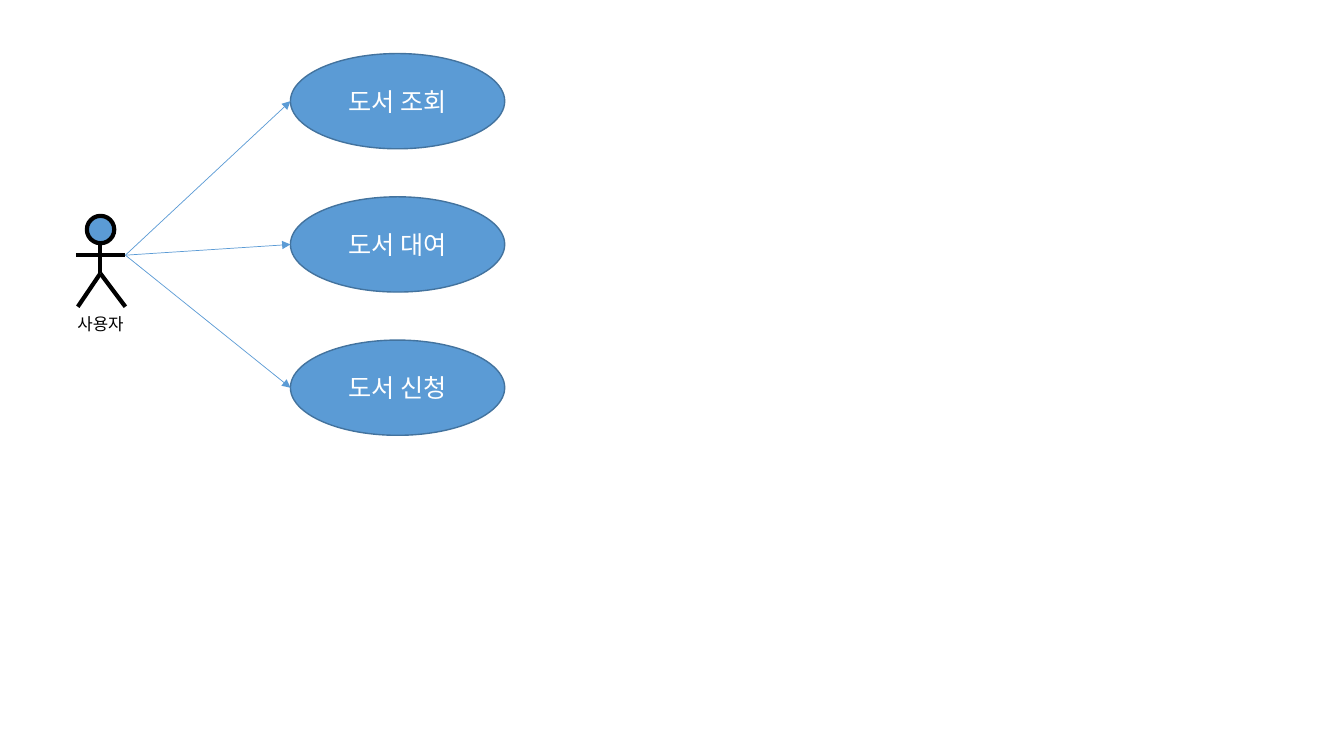
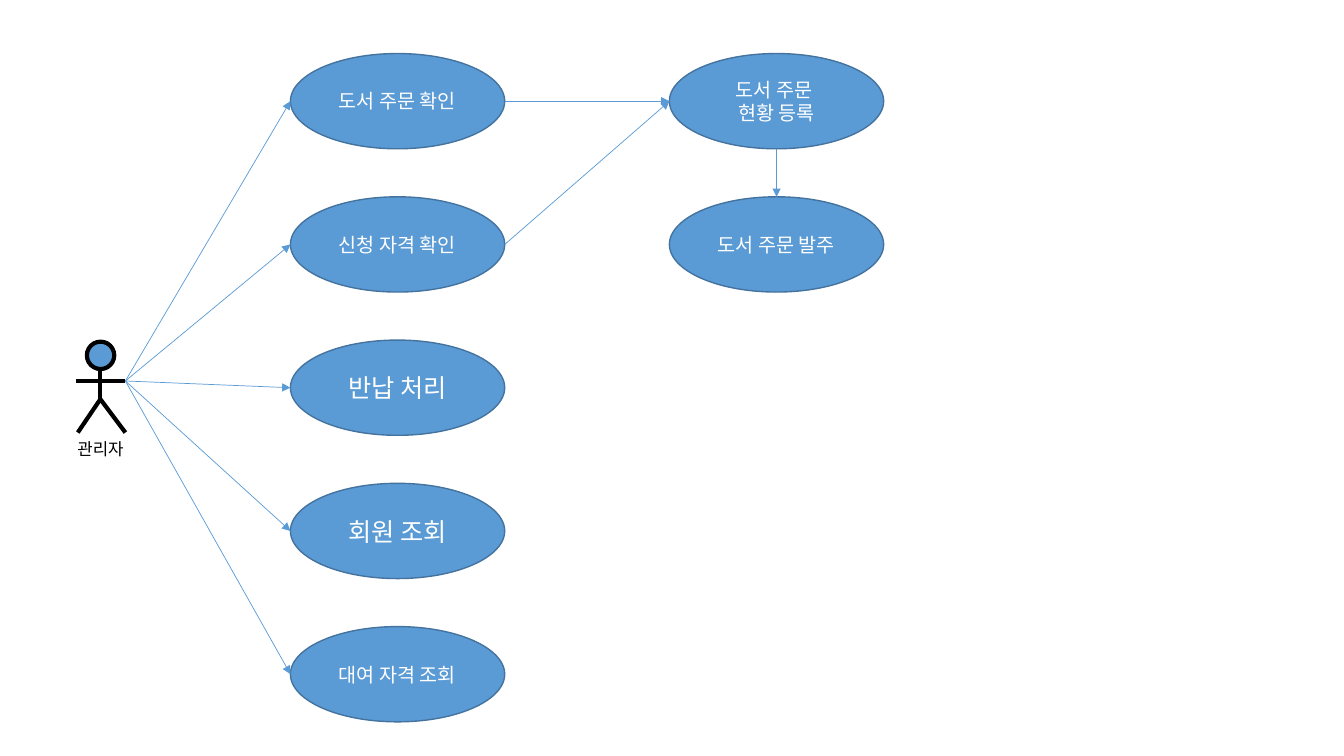
from pptx import Presentation
from pptx.dml.color import RGBColor
from pptx.enum.shapes import MSO_CONNECTOR as Connector, MSO_SHAPE as Preset
from pptx.enum.text import MSO_ANCHOR as Anchor, MSO_AUTO_SIZE as AutoSize, PP_ALIGN as Align
from pptx.oxml.ns import qn
from pptx.util import Cm, Pt
from lxml import etree

# Use cases: (column, row): (text lines, size); links join two grid cells.
DIAGRAMS = [
    {
        "actor": "사용자", "actor_top": 5.44,
        "cases": {
            (0, 0): (["도서 조회"], 18),
            (0, 1): (["도서 대여"], 18),
            (0, 2): (["도서 신청"], 18),
        },
        "links": [],
    },
    {
        "actor": "관리자", "actor_top": 8.61,
        "cases": {
            (0, 0): (["도서 주문 확인"], 14),
            (0, 1): (["신청 자격 확인"], 14),
            (0, 2): (["반납 처리"], 18),
            (0, 3): (["회원 조회"], 18),
            (0, 4): (["대여 자격 조회"], 14),
            (1, 0): (["도서 주문 ", "현황 등록"], 14),
            (1, 1): (["도서 주문 발주"], 14),
        },
        "links": [((0, 0), (1, 0)), ((0, 1), (1, 0)), ((1, 0), (1, 1))],
    },
]

COLORS = {"fill": "5B9BD5", "outline": "43739E", "figure": "000000",
          "case_text": "FFFFFF", "label": "000000"}
FONT = "Noto Sans CJK KR"

# Lengths in centimetres
SLIDE_WIDTH, SLIDE_HEIGHT = 33.87, 19.05
CASE_LEFT, CASE_TOP, CASE_WIDTH, CASE_HEIGHT = 7.32, 1.35, 5.4, 2.4
COLUMN_STEP, ROW_STEP = 9.55, 3.61
ACTOR_LEFT = 1.91
HEAD_LEFT, HEAD_SIZE = 0.28, 0.69
HIP = (0.62, 1.45)
HAND = (1.25, 0.99)
LIMBS = [((0, 0.99), HAND), ((0.62, HEAD_SIZE), HIP), (HIP, (1.25, 2.29)), (HIP, (0.05, 2.29))]
LABEL_LEFT, LABEL_DROP, LABEL_WIDTH, LABEL_HEIGHT = 1.7, 2.33, 3.33, 0.76


def color(name):
    """Return the named colour of the palette."""
    return RGBColor.from_string(COLORS[name])


def style_line(line, name, width):
    """Give a line its colour and width."""
    line.color.rgb = color(name)
    line.width = Pt(width)


def write(frame, lines, size, color_name, align):
    """Fill a text frame with one paragraph per line."""
    for index, text in enumerate(lines):
        paragraph = frame.add_paragraph() if index else frame.paragraphs[0]
        paragraph.alignment = align
        run = paragraph.add_run()
        run.text = text
        for name, value in {"name": FONT, "size": Pt(size)}.items():
            setattr(run.font, name, value)
        run.font.color.rgb = color(color_name)
        etree.SubElement(run.font._element, qn("a:ea")).set("typeface", FONT)


def add_ellipse(shapes, box, line_name, width):
    """Add a filled ellipse in a box of left, top, width and height."""
    shape = shapes.add_shape(Preset.OVAL, *map(Cm, box))
    shape.shadow.inherit = False
    shape.fill.solid()
    shape.fill.fore_color.rgb = color("fill")
    style_line(shape.line, line_name, width)
    return shape


def add_line(shapes, start, end, name, width, arrow=False):
    """Add a straight line, with an arrowhead at its end if asked."""
    connector = shapes.add_connector(Connector.STRAIGHT, *map(Cm, (*start, *end)))
    style_line(connector.line, name, width)
    properties = connector._element.spPr
    if arrow:
        outline = properties.find(qn("a:ln"))
        etree.SubElement(outline, qn("a:tailEnd")).set("type", "triangle")
    etree.SubElement(properties, qn("a:effectLst"))


def case_box(cell):
    """Return the box of a use case from its column and row."""
    column, row = cell
    return (CASE_LEFT + column * COLUMN_STEP, CASE_TOP + row * ROW_STEP,
            CASE_WIDTH, CASE_HEIGHT)


def case_point(cell, across, down):
    """Return a point of a use case, given as fractions of its box."""
    left, top, width, height = case_box(cell)
    return left + across * width, top + down * height


def add_case(slide, cell, lines, size):
    """Add a use case ellipse with its text."""
    shape = add_ellipse(slide.shapes, case_box(cell), "outline", 1)
    shape.text_frame.word_wrap = True
    shape.text_frame.vertical_anchor = Anchor.MIDDLE
    write(shape.text_frame, lines, size, "case_text", Align.CENTER)


def add_actor(slide, name, top):
    """Add a grouped stick figure with its label and return its hand."""
    def place(point):
        return ACTOR_LEFT + point[0], top + point[1]

    figure = slide.shapes.add_group_shape()
    head = (*place((HEAD_LEFT, 0)), HEAD_SIZE, HEAD_SIZE)
    add_ellipse(figure.shapes, head, "figure", 3)
    for start, end in LIMBS:
        add_line(figure.shapes, place(start), place(end), "figure", 3)
    label_box = (LABEL_LEFT, top + LABEL_DROP, LABEL_WIDTH, LABEL_HEIGHT)
    label = slide.shapes.add_textbox(*map(Cm, label_box))
    label.text_frame.word_wrap = True
    label.text_frame.auto_size = AutoSize.SHAPE_TO_FIT_TEXT
    write(label.text_frame, [name], 12, "label", Align.LEFT)
    return place(HAND)


def add_link(slide, source, target):
    """Join two use cases: downwards in a column, else left to right."""
    if source[0] == target[0]:
        start, end = case_point(source, 0.5, 1), case_point(target, 0.5, 0)
    else:
        start, end = case_point(source, 1, 0.5), case_point(target, 0, 0.5)
    add_line(slide.shapes, start, end, "fill", 0.5, arrow=True)


def add_diagram(presentation, diagram):
    """Add one slide with an actor and its use cases."""
    slide = presentation.slides.add_slide(presentation.slide_layouts[6])
    for cell, (lines, size) in diagram["cases"].items():
        add_case(slide, cell, lines, size)
    hand = add_actor(slide, diagram["actor"], diagram["actor_top"])
    for cell in diagram["cases"]:
        if cell[0] == 0:
            add_line(slide.shapes, hand, case_point(cell, 0, 0.5), "fill", 0.5, arrow=True)
    for source, target in diagram["links"]:
        add_link(slide, source, target)


presentation = Presentation()
presentation.slide_width, presentation.slide_height = Cm(SLIDE_WIDTH), Cm(SLIDE_HEIGHT)
for diagram in DIAGRAMS:
    add_diagram(presentation, diagram)
presentation.save("out.pptx")
